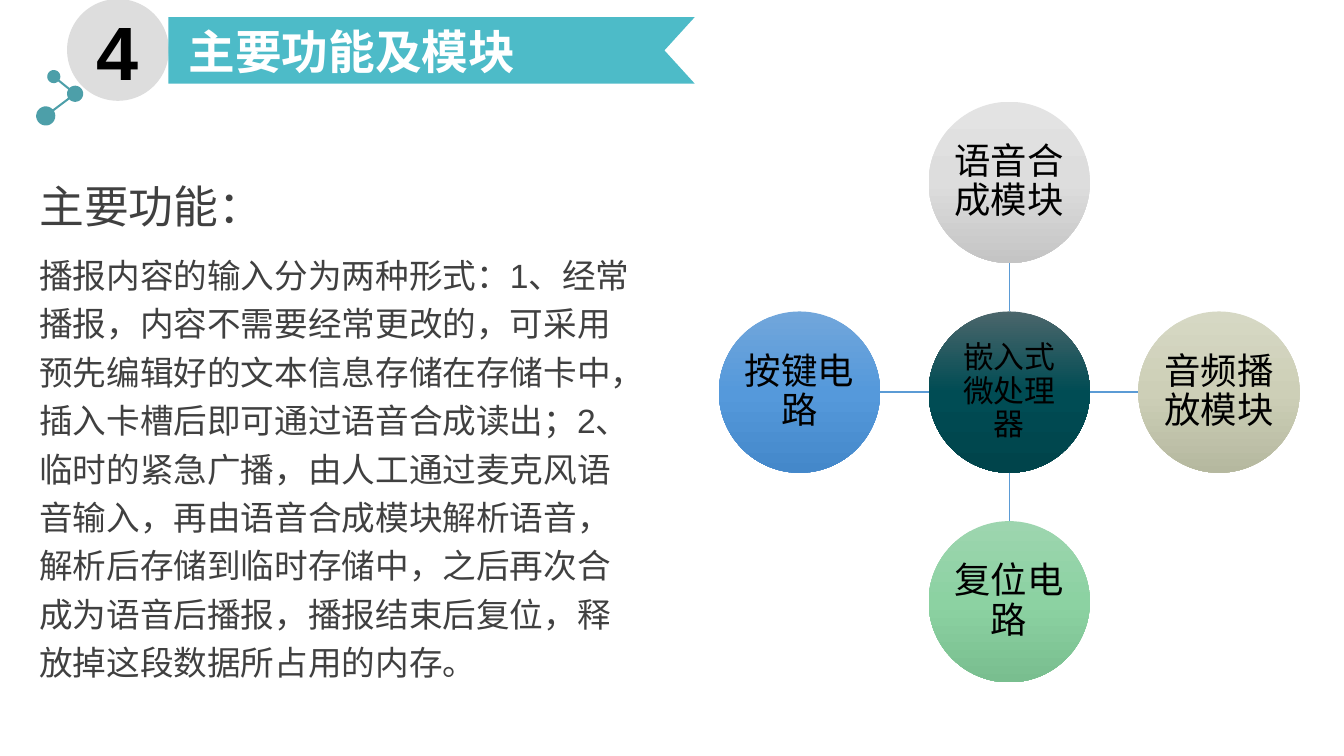
from math import asin, atan2, cos, pi, sin

from lxml import etree
from pptx import Presentation
from pptx.dml.color import RGBColor
from pptx.enum.shapes import MSO_CONNECTOR, MSO_SHAPE
from pptx.enum.text import MSO_ANCHOR, MSO_AUTO_SIZE, PP_ALIGN
from pptx.oxml import parse_xml
from pptx.oxml.ns import nsdecls, qn
from pptx.util import Inches, Pt

COLORS = {
    "banner": "4DBBC8", "molecule": "4D9FA9", "badge": "DDDDDD",
    "link": "5B9BD5", "body": "404040", "black": "000000", "white": "FFFFFF",
}
GRADIENTS = {
    "teal": ("4B666B", "004C54", "00444B"),
    "grey": ("E3E3E3", "DDDDDD", "C4C4C4"),
    "sand": ("D6D8C4", "CDCFB7", "B5B89F"),
    "green": ("9DD5AF", "8CD2A2", "79BE8F"),
    "blue": ("71A6DB", "5599DB", "4488CA"),
}
CJK, LATIN = "Noto Sans CJK SC", "Arial"

FUNCTIONS = (
    "播报内容的输入分为两种形式：1、经常播报，内容不需要经常更改的，可采用预先编辑好的文本信息"
    "存储在存储卡中，插入卡槽后即可通过语音合成读出；2、临时的紧急广播，由人工通过麦克风语音输入，"
    "再由语音合成模块解析语音，解析后存储到临时存储中，之后再次合成为语音后播报，播报结束后复位，"
    "释放掉这段数据所占用的内存。"
)
# text, column step, row step, gradient
MODULES = [
    ("语音合成模块", 0, -1, "grey"),
    ("音频播放模块", 1, 0, "sand"),
    ("复位电路", 0, 1, "green"),
    ("按键电路", -1, 0, "blue"),
]


def rgb(name):
    return RGBColor.from_string(COLORS[name])


def write(p, text, size, color, font=LATIN, bold=False, **paragraph):
    for name, value in paragraph.items():
        setattr(p, name, value)
    r = p.add_run()
    r.text = text
    for name, value in {"size": Pt(size), "name": font, "bold": bold}.items():
        setattr(r.font, name, value)
    r.font.color.rgb = rgb(color)
    etree.SubElement(r.font._element, qn("a:ea"), typeface=CJK)


def place(sp, left, top, width, height):
    box = {"left": left, "top": top, "width": width, "height": height}
    for name, value in box.items():
        setattr(sp, name, Inches(value))


def paint(sp, color):
    sp.shadow.inherit = False
    sp.fill.solid()
    sp.fill.fore_color.rgb = rgb(color)
    sp.line.fill.background()


def circle(s, cx, cy, d, color):
    sp = s.shapes.add_shape(
        MSO_SHAPE.OVAL, *(Inches(v) for v in (cx - d / 2, cy - d / 2, d, d)))
    paint(sp, color)
    tf = sp.text_frame
    tf.word_wrap = True
    tf.vertical_anchor = MSO_ANCHOR.MIDDLE
    for side in ("left", "top", "right", "bottom"):
        setattr(tf, f"margin_{side}", Inches(0.02))
    return sp


def polygon(s, points, color):
    points = [(Inches(x), Inches(y)) for x, y in points]
    fb = s.shapes.build_freeform(*points[0])
    fb.add_line_segments(points[1:])
    paint(fb.convert_to_shape(), color)


def shade(sp, stops):
    """Replace the solid fill by a three-stop vertical gradient."""
    gs = "".join(f'<a:gs pos="{i * 50000}"><a:srgbClr val="{c}"/></a:gs>'
                 for i, c in enumerate(stops))
    solid = sp._element.spPr.find(qn("a:solidFill"))
    solid.getparent().replace(solid, parse_xml(
        f'<a:gradFill {nsdecls("a")} rotWithShape="1"><a:gsLst>{gs}</a:gsLst>'
        '<a:lin ang="5400000" scaled="0"/></a:gradFill>'))


def link(s, x1, y1, x2, y2):
    cn = s.shapes.add_connector(
        MSO_CONNECTOR.STRAIGHT, *(Inches(v) for v in (x1, y1, x2, y2)))
    cn.line.color.rgb = rgb("link")
    cn.line.width = Pt(1)
    etree.SubElement(cn._element.spPr, qn("a:effectLst"))


def molecule(s, left, top, width, height):
    """Walk around a chain of three atoms, joining their arcs into one outline."""
    half_bond, steps = 0.01, 24
    # share of the width, share of the height, radius
    low, mid, high = [
        (left + fx * width, top + fy * height, radius) for fx, fy, radius in
        ((0.2, 0.82, 0.095), (0.82, 0.42, 0.08), (0.37, 0.11, 0.065))]
    points = []
    for before, (x, y, radius), after in (
            (mid, low, mid), (low, mid, high), (mid, high, mid), (high, mid, low)):
        gap = asin(half_bond / radius)
        start = atan2(before[1] - y, before[0] - x) + gap
        end = atan2(after[1] - y, after[0] - x) - gap
        sweep = (end - start) % (2 * pi)
        for i in range(steps + 1):
            angle = start + sweep * i / steps
            points.append((x + radius * cos(angle), y + radius * sin(angle)))
    polygon(s, points, "molecule")


def header(s, number, title, left, top, width, height):
    badge = circle(s, left - 0.5, top + height / 2 - 0.005, 1.01, "badge")
    write(badge.text_frame.paragraphs[0], number, 54, "black", bold=True,
          alignment=PP_ALIGN.CENTER)

    right, bottom = left + width, top + height
    polygon(s, [(left, top), (right, top), (right - 0.3, top + height / 2),
                (right, bottom), (left, bottom)], "banner")

    sp = s.shapes.title
    place(sp, left + 0.1, top + 0.04, width - 0.56, height - 0.08)
    sp.text_frame.vertical_anchor = MSO_ANCHOR.MIDDLE
    sp.text_frame.auto_size = MSO_AUTO_SIZE.NONE
    write(sp.text_frame.paragraphs[0], title, 33.3, "white", CJK, True,
          alignment=PP_ALIGN.LEFT)
    s.shapes._spTree.append(sp._element)  # above the banner


def description(s, heading, text, *box):
    sp = s.placeholders[1]
    place(sp, *box)
    tf = sp.text_frame
    tf.auto_size = MSO_AUTO_SIZE.NONE
    tf.vertical_anchor = MSO_ANCHOR.TOP
    rows = [(heading, 32, CJK), (text, 24, LATIN)]
    for i, (row, size, font) in enumerate(rows):
        p = tf.add_paragraph() if i else tf.paragraphs[0]
        write(p, row, size, "body", font, line_spacing=1.2, space_before=Pt(10))
        pPr = p._p.get_or_add_pPr()
        for name in ("marL", "indent"):
            pPr.set(name, "0")
        etree.SubElement(pPr, qn("a:buNone"))


def module_map(s, hub, modules, left, top, size):
    """Hub in the middle of a square box, one module on each side."""
    d = 1.6
    step = (size - d) / 2
    cx, cy = left + size / 2, top + size / 2
    nodes = [(hub, 0, 0, "teal")] + modules
    for text, col, row, gradient in nodes:
        sp = circle(s, cx + col * step, cy + row * step, d, "badge")
        shade(sp, GRADIENTS[gradient])
        is_hub = text == hub
        write(sp.text_frame.paragraphs[0], text, 22 if is_hub else 26, "black",
              alignment=PP_ALIGN.CENTER, line_spacing=0.9)
        if not is_hub:
            near, far = d / 2, step - d / 2
            link(s, cx + col * near, cy + row * near, cx + col * far, cy + row * far)


def main():
    prs = Presentation()
    prs.slide_width, prs.slide_height = Inches(13.33), Inches(7.5)
    s = prs.slides.add_slide(prs.slide_layouts[1])
    molecule(s, 0.36, 0.7, 0.47, 0.55)
    description(s, "主要功能：", FUNCTIONS, 0.29, 1.62, 6.16, 5.35)
    module_map(s, "嵌入式微处理器", MODULES, 7.13, 1.01, 5.76)
    header(s, "4", "主要功能及模块", 1.67, 0.17, 5.22, 0.66)
    prs.save("out.pptx")


if __name__ == "__main__":
    main()
